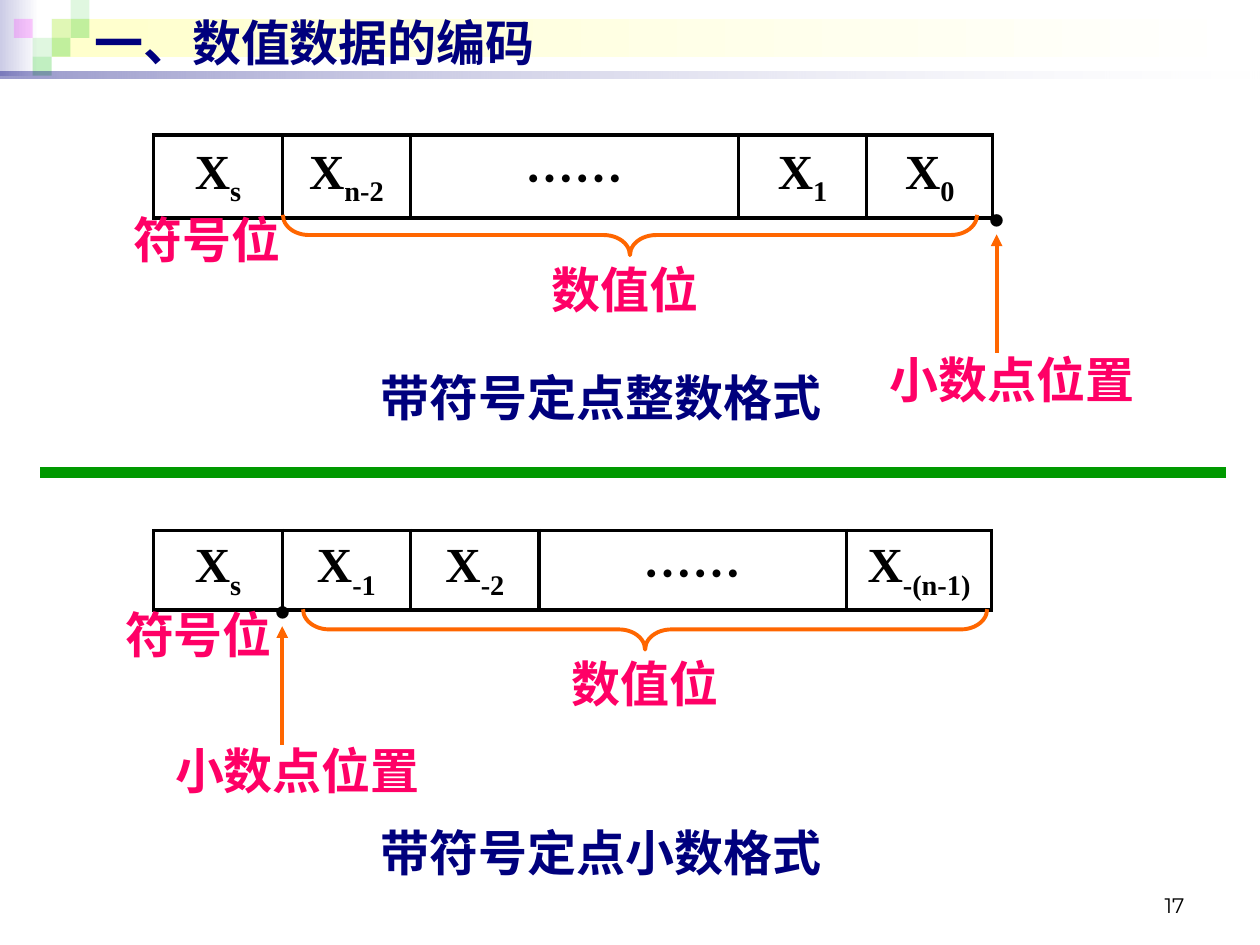
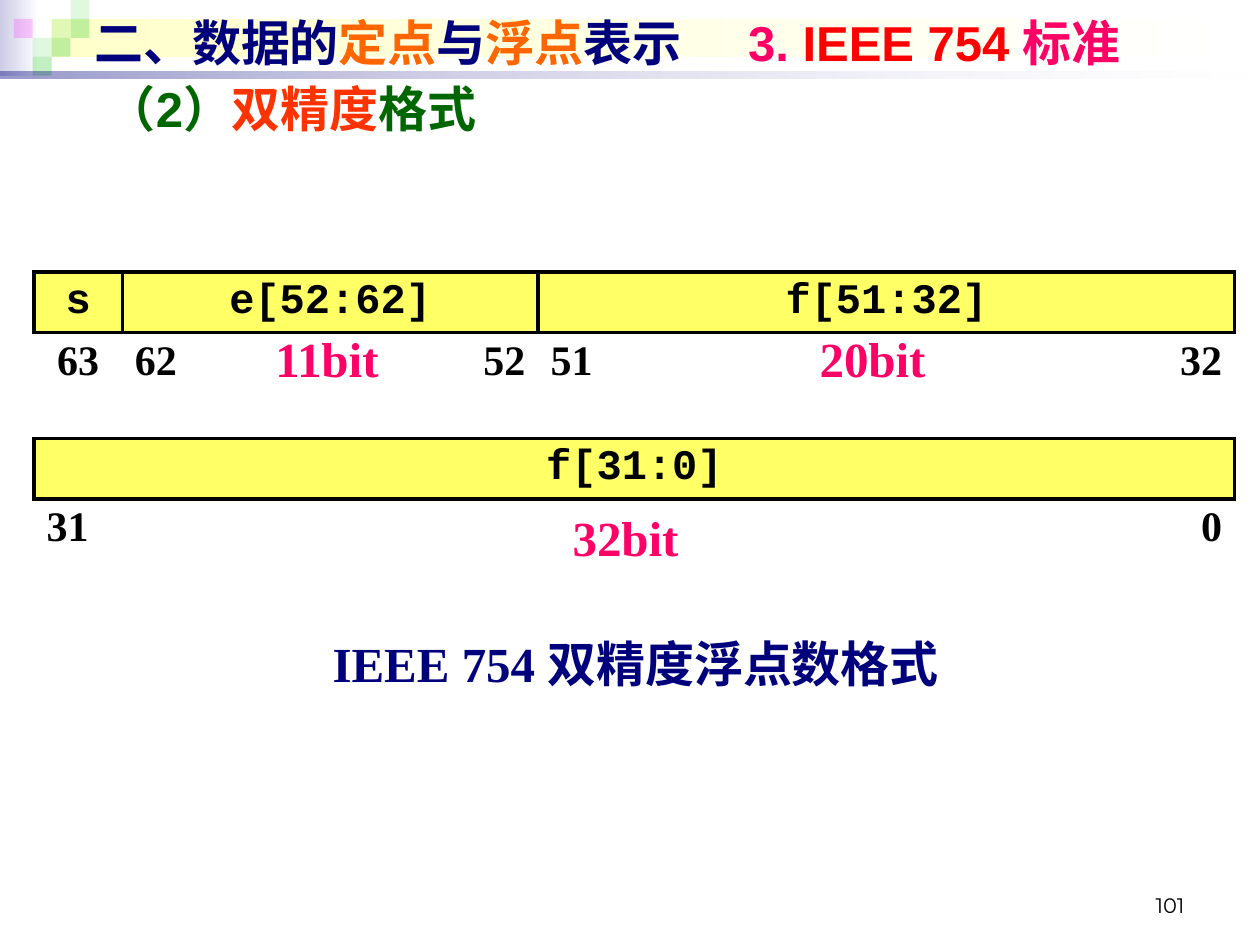
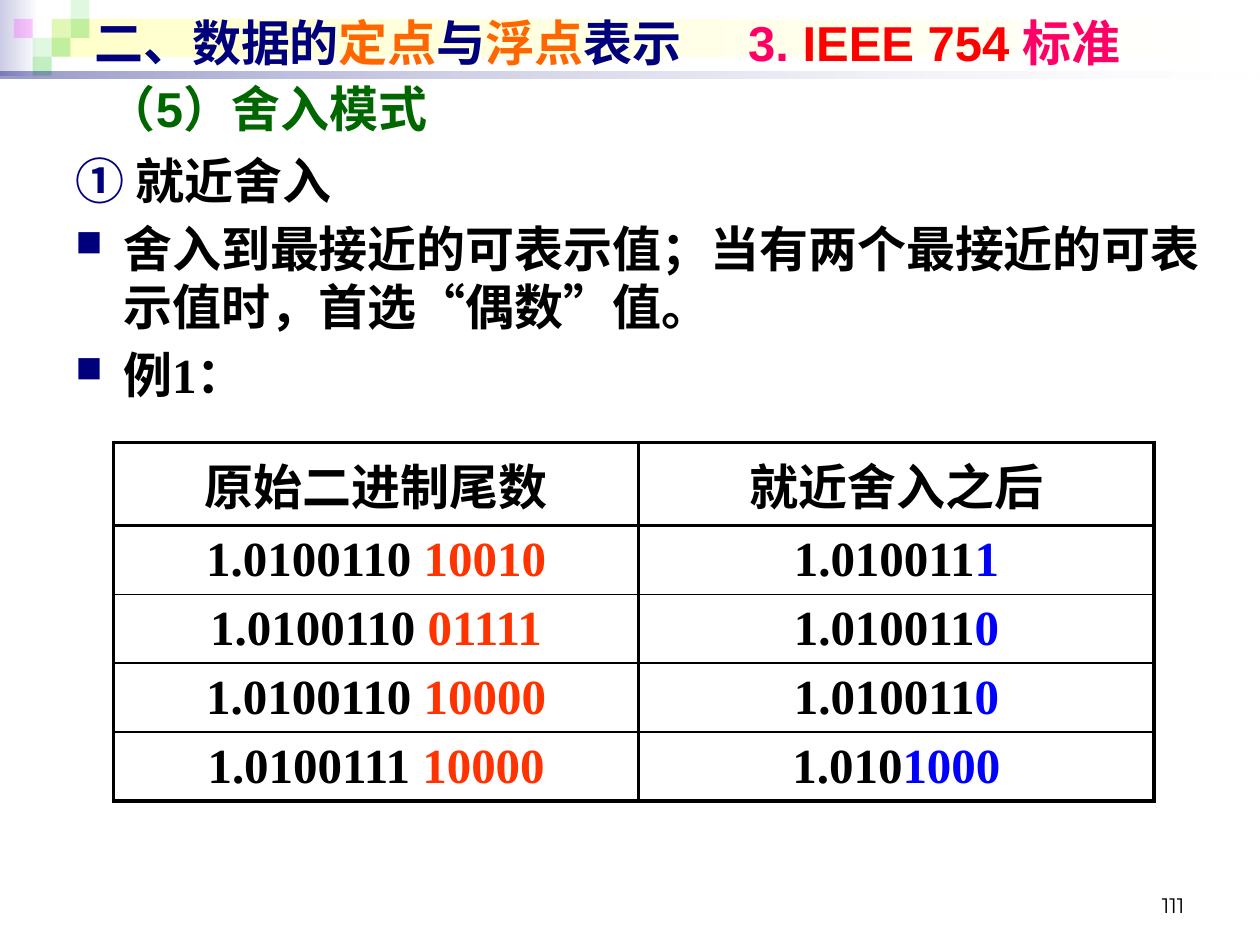
from dataclasses import dataclass

from lxml.etree import SubElement
from pptx import Presentation
from pptx.dml.color import RGBColor
from pptx.enum.shapes import MSO_CONNECTOR, MSO_SHAPE
from pptx.enum.text import MSO_ANCHOR, PP_ALIGN
from pptx.oxml.ns import qn
from pptx.util import Inches, Pt

BLACK = RGBColor(0x00, 0x00, 0x00)
WHITE = RGBColor(0xFF, 0xFF, 0xFF)
NAVY = RGBColor(0x00, 0x00, 0x7D)
BLUE = RGBColor(0x00, 0x00, 0xFF)
PINK = RGBColor(0xFF, 0x00, 0x66)
RED = RGBColor(0xFF, 0x00, 0x00)
VERMILION = RGBColor(0xFF, 0x33, 0x00)
ORANGE = RGBColor(0xFF, 0x66, 0x00)
DARK_GREEN = RGBColor(0x00, 0x66, 0x00)
RULE_GREEN = RGBColor(0x00, 0x99, 0x00)
TILE_GREEN = RGBColor(0x33, 0xCC, 0x33)
MAGENTA = RGBColor(0xFF, 0x00, 0xFF)
LAVENDER = RGBColor(0xCC, 0xCC, 0xE6)
CREAM = RGBColor(0xFF, 0xFF, 0xCC)
YELLOW = RGBColor(0xFF, 0xFF, 0x66)

TIMES = "Times New Roman"
ARIAL = "Arial"
COURIER = "Courier New"
NOTO = "Noto Sans CJK SC"
PAGE_FONT = "Montserrat"

TILE = 0.15
TILES = [
    (2, 1, TILE_GREEN, 15), (3, 0, TILE_GREEN, 15), (3, 1, TILE_GREEN, 30),
    (1, 2, TILE_GREEN, 15), (0, 1, MAGENTA, 20), (2, 2, TILE_GREEN, 30),
    (1, 3, TILE_GREEN, 30),
]
STANDARD_TITLE = [
    ("二、数据的", NAVY), ("定点", ORANGE), ("与", NAVY), ("浮点", ORANGE),
    ("表示\t", NAVY), ("3. ", PINK), ("IEEE 754 ", RED), ("标准", PINK),
]


@dataclass
class Span:
    text: str
    colour: RGBColor = BLACK
    font: str = TIMES
    size: int = 28
    bold: bool = True
    baseline: int = 0


class Deck:
    def __init__(self):
        self.presentation = Presentation()
        self.presentation.slide_width = Inches(10)
        self.presentation.slide_height = Inches(7.5)
        self.slide = None

    def start(self, title, page):
        self.slide = self.presentation.slides.add_slide(self.presentation.slide_layouts[6])
        self.rectangle(0, 0, 0.31, 0.6, (LAVENDER, WHITE))
        self.rectangle(0.41, 0.15, 9.55, 0.3, (CREAM, WHITE))
        for column, row, colour, opacity in TILES:
            self.rectangle(0.11 + column * TILE, row * TILE, TILE, TILE, (colour,), (opacity,))
        self.rectangle(0, 0.57, 10, 0.05, (NAVY, WHITE), (40, 10))
        number = Span(page, font=PAGE_FONT, size=12, bold=False)
        self.text(7.17, 6.83, 2.33, [number], PP_ALIGN.RIGHT, MSO_ANCHOR.BOTTOM, height=0.5)
        spans = [Span(words, colour, ARIAL) for words, colour in title]
        frame = self.text(0.65, 0.05, 9, spans, PP_ALIGN.LEFT, MSO_ANCHOR.MIDDLE)
        tabs = SubElement(frame.paragraphs[0]._p.get_or_add_pPr(), qn("a:tabLst"))
        SubElement(tabs, qn("a:tab"), pos=str(Inches(5.19)), algn="l")

    def rectangle(self, left, top, width, height, colours, opacities=()):
        shape = self.slide.shapes.add_shape(
            MSO_SHAPE.RECTANGLE, Inches(left), Inches(top), Inches(width), Inches(height))
        shape.shadow.inherit = False
        shape.line.fill.background()
        if len(colours) == 1:
            shape.fill.solid()
            shape.fill.fore_color.rgb = colours[0]
        else:
            shape.fill.gradient()
            shape.fill.gradient_angle = 0
            for stop, colour in zip(shape.fill.gradient_stops, colours):
                stop.color.rgb = colour
        for element, opacity in zip(shape.element.spPr.iter(qn("a:srgbClr")), opacities):
            SubElement(element, qn("a:alpha"), val=str(opacity * 1000))

    def add_spans(self, paragraph, spans, align):
        paragraph.alignment = align
        for span in spans:
            run = paragraph.add_run()
            run.text = span.text
            run.font.name = span.font
            run.font.size = Pt(span.size)
            run.font.bold = span.bold
            run.font.color.rgb = span.colour
            if span.baseline:
                run._r.get_or_add_rPr().set("baseline", str(span.baseline * 1000))

    def text(self, left, top, width, spans, align=PP_ALIGN.CENTER,
             anchor=MSO_ANCHOR.TOP, height=0.57):
        box = self.slide.shapes.add_textbox(
            Inches(left), Inches(top), Inches(width), Inches(height))
        frame = box.text_frame
        frame.word_wrap = True
        frame.vertical_anchor = anchor
        if spans:
            self.add_spans(frame.paragraphs[0], spans, align)
            if spans[0].size == 28:
                frame.paragraphs[0].line_spacing = Pt(33)
        return frame

    def label(self, left, top, width, words, colour=PINK):
        self.text(left, top, width, [Span(words, colour)])

    def heading(self, spans):
        self.text(0.75, 0.58, 8.61, spans, PP_ALIGN.LEFT, MSO_ANCHOR.MIDDLE)

    def body(self, left, top, width, height, items):
        frame = self.text(left, top, width, [], height=height)
        for index, (bullet, spans) in enumerate(items):
            paragraph = frame.add_paragraph() if index else frame.paragraphs[0]
            self.add_spans(paragraph, spans, PP_ALIGN.LEFT)
            paragraph.line_spacing = Pt(33)
            if index:
                paragraph.space_before = Pt(6)
            properties = paragraph._p.get_or_add_pPr()
            properties.set("marL", str(Inches(0.38)))
            properties.set("indent", str(-Inches(0.38)))
            if bullet:
                colour = SubElement(properties, qn("a:buClr"))
                SubElement(colour, qn("a:srgbClr"), val=str(NAVY))
                SubElement(properties, qn("a:buSzPct"), val="75000")
                SubElement(properties, qn("a:buChar"), char=bullet)

    def line(self, start, end, colour, width, arrow=False):
        connector = self.slide.shapes.add_connector(
            MSO_CONNECTOR.STRAIGHT, *(Inches(value) for value in (*start, *end)))
        connector.line.color.rgb = colour
        connector.line.width = Pt(width)
        properties = connector.element.spPr
        if arrow:
            SubElement(properties.find(qn("a:ln")), qn("a:tailEnd"), type="triangle")
        SubElement(properties, qn("a:effectLst"))

    def brace(self, left, top, height):
        shape = self.slide.shapes.add_shape(
            MSO_SHAPE.LEFT_BRACE, Inches(left), Inches(top), Inches(0.32), Inches(height))
        shape.shadow.inherit = False
        shape.rotation = 270
        shape.adjustments[0] = 0.65
        shape.fill.background()
        shape.line.color.rgb = ORANGE
        shape.line.width = Pt(2.25)

    def table(self, left, top, columns, rows):
        frame = self.slide.shapes.add_table(
            len(rows), len(columns), Inches(left), Inches(top),
            Inches(sum(columns)), Inches(sum(rows)))
        table = frame.table
        table.first_row = False
        table.horz_banding = False
        for column, width in zip(table.columns, columns):
            column.width = Inches(width)
        for row, height in zip(table.rows, rows):
            row.height = Inches(height)
        return table

    def cell(self, table, row, column, spans, span=1, align=PP_ALIGN.CENTER,
             anchor=MSO_ANCHOR.MIDDLE, fill=None, borders=None):
        widths = borders or dict.fromkeys("LRTB", 2.25)
        origin = table.cell(row, column)
        if span > 1:
            origin.merge(table.cell(row, column + span - 1))
        for offset in range(span):
            cell = table.cell(row, column + offset)
            properties = cell._tc.get_or_add_tcPr()
            for side in "LRTB":
                width = widths.get(side, 0)
                edge = SubElement(properties, qn("a:ln" + side), w=str(Pt(width)))
                if width:
                    solid = SubElement(edge, qn("a:solidFill"))
                    SubElement(solid, qn("a:srgbClr"), val=str(BLACK))
                else:
                    SubElement(edge, qn("a:noFill"))
            if fill:
                cell.fill.solid()
                cell.fill.fore_color.rgb = fill
            else:
                cell.fill.background()
        origin.vertical_anchor = anchor
        origin.margin_top = origin.margin_bottom = Inches(0.04)
        self.add_spans(origin.text_frame.paragraphs[0], spans, align)

    def register(self, top, columns, height, subscripts):
        table = self.table(1.22, top, columns, [height])
        for column, subscript in enumerate(subscripts):
            if subscript:
                spans = [Span("X"), Span(subscript, baseline=-25)]
            else:
                spans = [Span("……", font=NOTO)]
            self.cell(table, 0, column, spans)

    def point_marker(self, centre, top, label_left):
        self.text(centre - 0.31, top, 0.63, [Span("·", font=NOTO)])
        self.line((centre, top + 1.33), (centre, top + 0.39), ORANGE, 2.25, arrow=True)
        self.label(label_left, top + 1.26, 2.44, "小数点位置")


def build_fixed_point(deck):
    deck.start([("一、数值数据的编码", NAVY)], "17")
    deck.register(1.07, [1.02, 1.02, 2.6, 1.02, 1], 0.66, ["s", "n-2", "", "1", "0"])
    deck.point_marker(7.91, 1.47, 6.81)
    deck.brace(4.84, -0.89, 5.51)
    deck.label(3.74, 2.02, 2.44, "数值位")
    deck.label(0.9, 1.62, 1.49, "符号位")
    deck.label(2.72, 2.88, 4.1, "带符号定点整数格式", NAVY)
    deck.register(4.21, [1.02, 1.02, 1.02, 2.44, 1.15], 0.63, ["s", "-1", "-2", "", "-(n-1)"])
    deck.point_marker(2.24, 4.58, 1.14)
    deck.label(0.83, 4.76, 1.49, "符号位")
    deck.brace(4.96, 2.28, 5.43)
    deck.label(3.9, 5.15, 2.44, "数值位")
    deck.label(2.72, 6.49, 4.1, "带符号定点小数格式", NAVY)
    deck.line((0.32, 3.75), (9.73, 3.75), RULE_GREEN, 6)


def build_double_precision(deck):
    deck.start(STANDARD_TITLE, "101")
    deck.heading([Span("（2）", DARK_GREEN, ARIAL), Span("双精度", VERMILION, ARIAL),
                  Span("格式", DARK_GREEN, ARIAL)])
    table = deck.table(0.27, 2.16, [0.7, 1.65, 1.65, 0.28, 0.28, 4.97],
                       [0.48, 0.84, 0.48, 0.6])
    fields = [(0, 0, 1, "s"), (0, 1, 2, "e[52:62]"), (0, 3, 3, "f[51:32]"), (2, 0, 6, "f[31:0]")]
    for row, column, span, words in fields:
        deck.cell(table, row, column, [Span(words, font=COURIER, size=24)], span, fill=YELLOW)
    bit_numbers = [
        (1, 0, 1, "63", PP_ALIGN.CENTER), (1, 1, 1, "62", PP_ALIGN.LEFT),
        (1, 2, 1, "52", PP_ALIGN.RIGHT), (1, 3, 2, "51", PP_ALIGN.LEFT),
        (1, 5, 1, "32", PP_ALIGN.RIGHT), (3, 0, 4, "31", PP_ALIGN.LEFT),
        (3, 4, 2, "0", PP_ALIGN.RIGHT),
    ]
    for row, column, span, words, align in bit_numbers:
        borders = {"T": 2.25, "B": 2.25 if row == 1 else 0}
        deck.cell(table, row, column, [Span(words, size=24)], span, align,
                  MSO_ANCHOR.TOP, borders=borders)
    deck.label(2.09, 4.99, 5.91, "IEEE 754 双精度浮点数格式", NAVY)
    for left, top, words in [(1.69, 2.57, "11bit"), (6.02, 2.57, "20bit"), (4.06, 3.99, "32bit")]:
        deck.label(left, top, 1.81, words)


def build_rounding(deck):
    deck.start(STANDARD_TITLE, "111")
    deck.body(0.5, 1.15, 9.15, 5.91, [
        ("", [Span("①", NAVY), Span(" 就近舍入")]),
        ("■", [Span("舍入到最接近的可表示值；当有两个最接近的可表示值时，首选“偶数”值。")]),
        ("■", [Span("例1：")]),
    ])
    deck.heading([Span("（5）舍入模式", DARK_GREEN, ARIAL)])
    examples = [
        ("1.0100110 ", "10010", "1.010011", "1"),
        ("1.0100110 ", "01111", "1.010011", "0"),
        ("1.0100110 ", "10000", "1.010011", "0"),
        ("1.0100111 ", "10000", "1.010", "1000"),
    ]
    table = deck.table(0.9, 3.51, [4.17, 4.09], [0.66] + [0.53] * len(examples))
    for column, words in enumerate(["原始二进制尾数", "就近舍入之后"]):
        deck.cell(table, 0, column, [Span(words)])
    for row, (kept, dropped, unchanged, rounded) in enumerate(examples, 1):
        borders = {"L": 2.25, "R": 2.25, "T": 2.25 if row == 1 else 1,
                   "B": 2.25 if row == len(examples) else 1}
        deck.cell(table, row, 0, [Span(kept), Span(dropped, VERMILION)], borders=borders)
        deck.cell(table, row, 1, [Span(unchanged), Span(rounded, BLUE)], borders=borders)


def main():
    deck = Deck()
    build_fixed_point(deck)
    build_double_precision(deck)
    build_rounding(deck)
    deck.presentation.save("out.pptx")


if __name__ == "__main__":
    main()
